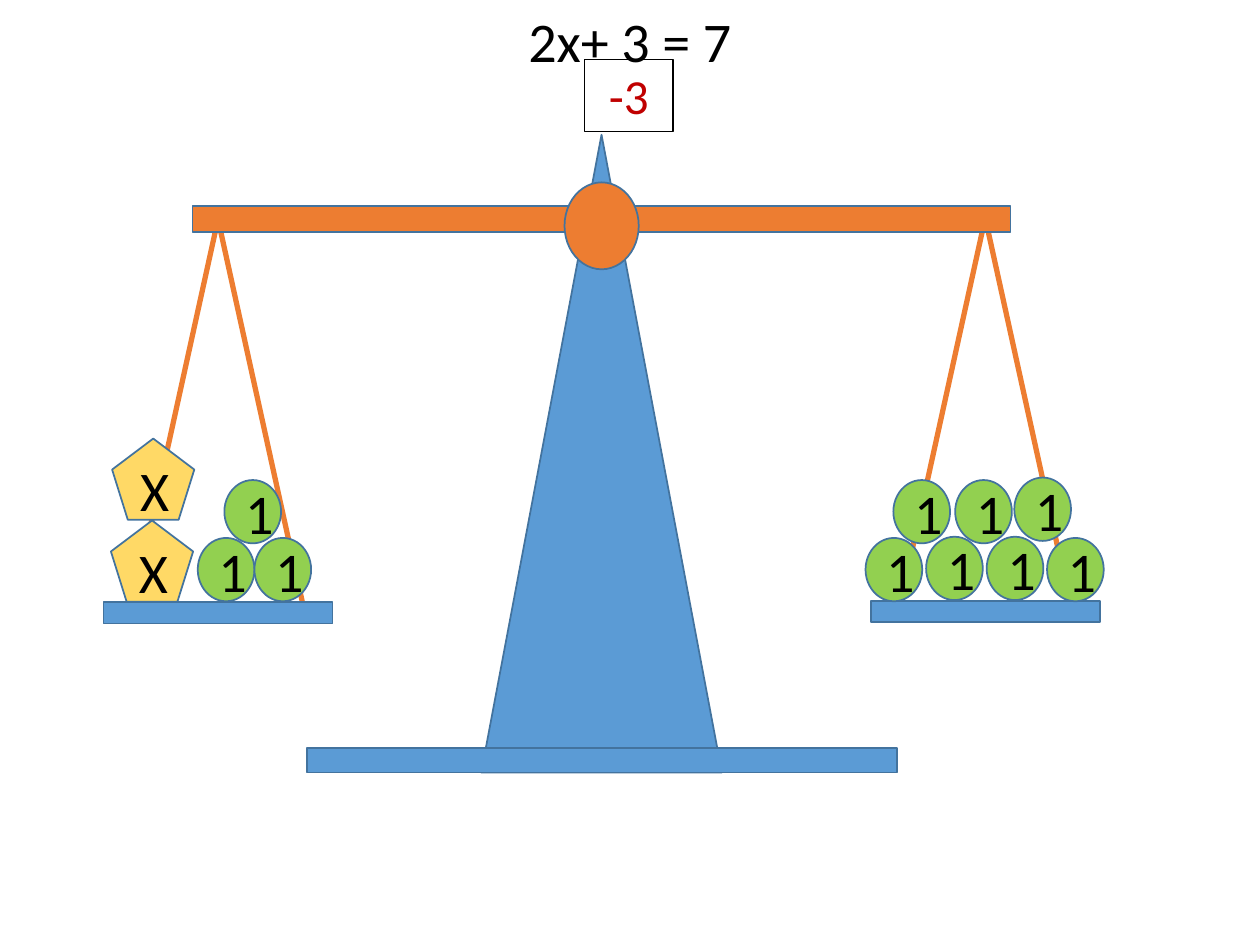
import pptx
import pptx.util
import pptx.dml.color
import pptx.enum.shapes
import pptx.enum.text
import pptx.oxml

Pt = pptx.util.Pt
SHAPES = pptx.enum.shapes.MSO_SHAPE

# Content: equation, operation and weights, positions in points
EQUATION = "2x+ 3 = 7"
OPERATION = "-3"
UNKNOWNS = [(63.4, 297.4), (64.1, 250.6)]
UNITS = [
    # left pan
    (113, 307.4), (145.4, 307.4), (128.2, 274.3),
    # right pan
    (494.6, 307.4), (529.2, 306.7), (563.8, 306.7), (598.3, 307.4),
    (579.6, 272.9), (545.8, 274.3), (510.5, 274.3),
]
HOOKS = [(563, 124.6), (124.6, 125.3)]
STRING_SPREAD, STRING_DROP = 48.2, 218.9
PAN_WIDTH, PAN_HEIGHT = 131, 12.2

BLUE, ORANGE, OUTLINE = "5B9BD5", "ED7D31", "43739E"
GREEN, YELLOW, BLACK, RED, WHITE = "92D050", "FFD966", "000000", "C00000", "FFFFFF"


def color(hex_value):
    return pptx.dml.color.RGBColor.from_string(hex_value)


def write(shape, text, size, font_color):
    shape.text_frame.text = text
    paragraph = shape.text_frame.paragraphs[0]
    paragraph.alignment = pptx.enum.text.PP_ALIGN.CENTER
    font = paragraph.runs[0].font
    font.name, font.size = "Calibri", Pt(size)
    font.color.rgb = color(font_color)


def add_part(slide, kind, left, top, width, height, fill, outline=OUTLINE, weight=1):
    shape = slide.shapes.add_shape(kind, Pt(left), Pt(top), Pt(width), Pt(height))
    shape.shadow.inherit = False
    shape.fill.solid()
    shape.fill.fore_color.rgb = color(fill)
    shape.line.color.rgb = color(outline)
    shape.line.width = Pt(weight)
    return shape


def add_pan(slide, hook_x, hook_y):
    pan_top = hook_y + STRING_DROP
    for side in (-1, 1):
        string = slide.shapes.add_connector(
            pptx.enum.shapes.MSO_CONNECTOR.STRAIGHT, Pt(hook_x), Pt(hook_y),
            Pt(hook_x + side * STRING_SPREAD), Pt(pan_top))
        string.line.color.rgb = color(ORANGE)
        string.line.width = Pt(3)
        properties = string._element.spPr
        properties.append(pptx.oxml.parse_xml(
            '<a:effectLst xmlns:a="http://schemas.openxmlformats.org/drawingml/2006/main"/>'))
    add_part(slide, SHAPES.RECTANGLE, hook_x - PAN_WIDTH / 2, pan_top,
             PAN_WIDTH, PAN_HEIGHT, BLUE)


def main():
    presentation = pptx.Presentation()
    presentation.slide_width, presentation.slide_height = Pt(720), Pt(540)
    slide = presentation.slides.add_slide(presentation.slide_layouts[5])

    # Equation
    title = slide.shapes.title
    title.left, title.top, title.width, title.height = Pt(0), Pt(0), Pt(720), Pt(46)
    title.text_frame.auto_size = pptx.enum.text.MSO_AUTO_SIZE.NONE
    title.text_frame.vertical_anchor = pptx.enum.text.MSO_ANCHOR.TOP
    write(title, EQUATION, 32, BLACK)

    # Scale
    add_part(slide, SHAPES.ISOSCELES_TRIANGLE, 275, 77, 137.5, 364.4, BLUE)
    add_part(slide, SHAPES.RECTANGLE, 175.5, 427.6, 337, 13.8, BLUE)
    for hook in HOOKS:
        add_pan(slide, *hook)
    add_part(slide, SHAPES.RECTANGLE, 110, 117.6, 467.4, 15.2, ORANGE)
    add_part(slide, SHAPES.OVAL, 322.6, 104.2, 42.4, 49.7, ORANGE)

    # Weights
    for left, top in UNITS:
        unit = add_part(slide, SHAPES.FLOWCHART_CONNECTOR, left, top, 32.4, 36.2, GREEN)
        write(unit, "1", 32, BLACK)
    for left, top in UNKNOWNS:
        unknown = add_part(slide, SHAPES.REGULAR_PENTAGON, left, top, 47, 46.4, YELLOW)
        write(unknown, "X", 32, BLACK)

    # Operation on both sides
    operation = add_part(slide, SHAPES.RECTANGLE, 334, 34, 50.6, 41.2, WHITE, BLACK, 0.75)
    operation.fill.background()
    operation.text_frame.vertical_anchor = pptx.enum.text.MSO_ANCHOR.TOP
    write(operation, OPERATION, 28, RED)

    presentation.save("out.pptx")


if __name__ == "__main__":
    main()
